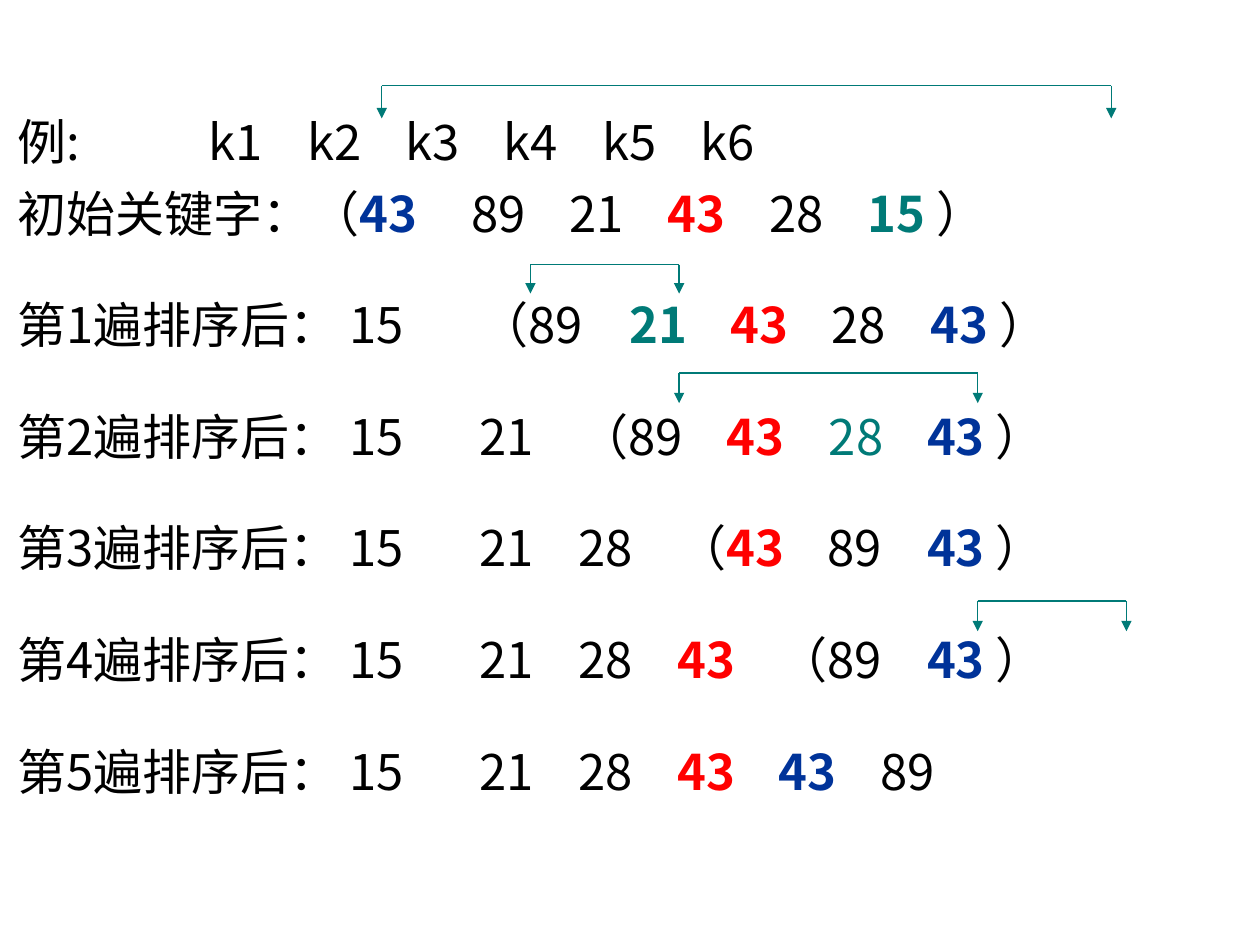
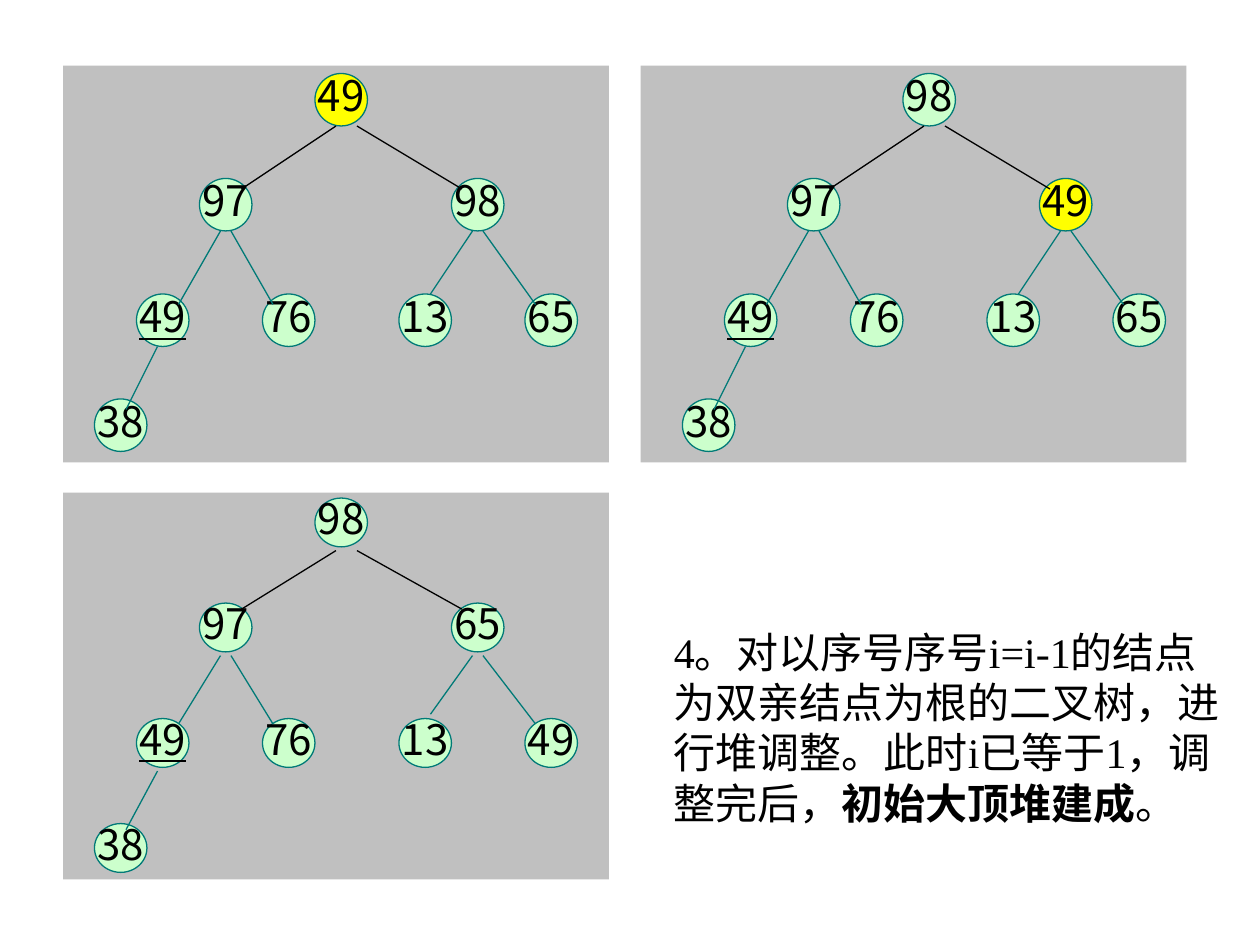
"""Build two slides on selection sort passes and on building a max heap."""
from typing import NamedTuple

from lxml.etree import SubElement
from pptx import Presentation
from pptx.dml.color import RGBColor
from pptx.enum.shapes import MSO_CONNECTOR as LINE, MSO_SHAPE as SHAPE
from pptx.enum.text import MSO_ANCHOR as ANCHOR, PP_ALIGN as ALIGN
from pptx.oxml.ns import qn
from pptx.util import Inches, Pt

BLACK = RGBColor(0x00, 0x00, 0x00)
BLUE = RGBColor(0x00, 0x33, 0x99)
RED = RGBColor(0xFF, 0x00, 0x00)
TEAL = RGBColor(0x00, 0x7A, 0x77)
GREY = RGBColor(0xC0, 0xC0, 0xC0)
MINT = RGBColor(0xCC, 0xFF, 0xCC)
YELLOW = RGBColor(0xFF, 0xFF, 0x00)

SANS = "Noto Sans CJK SC"
SERIF = "Times New Roman"
LINE_WIDTH = Pt(0.75)
LEADING = 1.2
KEY_SIZE = 28
NODE_SIZE = 24
CELL = Inches(1) / 12
NODE_CELLS = 5


class Span(NamedTuple):
    text: str
    color: RGBColor = BLACK
    bold: bool = False
    underline: bool = False


class Row(NamedTuple):
    before: float
    tabs: list[float]
    spans: list[Span]


class Bracket(NamedTuple):
    left: float
    right: float
    top: float
    drop: float


class Node(NamedTuple):
    column: int
    row: int


class Edge(NamedTuple):
    start: tuple[int, int]
    end: tuple[int, int]
    color: RGBColor = TEAL


class Tree(NamedTuple):
    keys: list[str]
    panel_column: int
    panel_top: float
    panel_height: float
    shift_columns: int = 0
    shift_down: float = 0
    squeeze: float = 1
    marked: int | None = None


FIRST_43 = Span("43", BLUE, True)
SECOND_43 = Span("43", RED, True)
TAB = Span("\t")
CLOSE = Span(" ）")
PASS_GAP = 30.2

ROWS = [
    Row(0, [1.52 + 0.78 * i for i in range(6)],
        [Span("例:\tk1\tk2\tk3\tk4\tk5\tk6")]),
    Row(7, [3.6, 4.38, 5.16, 5.97, 6.75],
        [Span("初始关键字：（"), FIRST_43, Span("\t89\t21\t"), SECOND_43,
         Span("\t28\t"), Span("15", TEAL, True), CLOSE]),
    Row(PASS_GAP, [3.67, 4.86, 5.66, 6.46, 7.25],
        [Span("第1遍排序后： 15\t（89\t"), Span("21", TEAL, True), TAB,
         SECOND_43, Span("\t28\t"), FIRST_43, CLOSE]),
    Row(PASS_GAP, [3.67, 4.46, 5.63, 6.44, 7.22],
        [Span("第2遍排序后： 15\t21\t（89\t"), SECOND_43, TAB,
         Span("28", TEAL), TAB, FIRST_43, CLOSE]),
    Row(PASS_GAP, [3.67, 4.45, 5.24, 6.43, 7.22],
        [Span("第3遍排序后： 15\t21\t28\t（"), SECOND_43, Span("\t89\t"),
         FIRST_43, CLOSE]),
    Row(PASS_GAP, [3.67, 4.45, 5.24, 6.04, 7.22],
        [Span("第4遍排序后： 15\t21\t28\t"), SECOND_43, Span("\t（89\t"),
         FIRST_43, CLOSE]),
    Row(PASS_GAP, [3.67, 4.45, 5.24, 6.04, 6.85],
        [Span("第5遍排序后： 15\t21\t28\t"), SECOND_43, TAB, FIRST_43,
         Span("\t89")]),
]

BRACKETS = [
    Bracket(3.03, 8.82, 0.68, 0.26),
    Bracket(4.21, 5.39, 2.1, 0.23),
    Bracket(5.39, 7.76, 2.96, 0.24),
    Bracket(7.76, 8.94, 4.77, 0.24),
]

NODES = [Node(30, 7), Node(19, 17), Node(43, 17), Node(13, 28),
         Node(25, 28), Node(38, 28), Node(50, 28), Node(9, 38)]
UNDERLINED_NODE = 3
EDGES = [
    Edge((32, 12), (23, 18), BLACK), Edge((34, 12), (44, 18), BLACK),
    Edge((21, 22), (17, 29)), Edge((22, 22), (26, 29)),
    Edge((45, 22), (41, 28)), Edge((46, 22), (51, 29)),
    Edge((15, 33), (12, 39)),
]
PANEL_CELLS = 52
TREES = [
    Tree("49 97 98 49 76 13 65 38".split(), 6, 0.52, 3.15, marked=0),
    Tree("98 97 49 49 76 13 65 38".split(), 61, 0.52, 3.15,
         shift_columns=56, marked=2),
    Tree("98 97 65 49 76 13 49 38".split(), 6, 3.91, 3.07,
         shift_down=3.37, squeeze=0.93),
]

STEP_SPANS = [
    Span("4。对以序号序号i=i-1的结点为双亲结点为根的二叉树，"
         "进行堆调整。此时i已等于1，调整完后，"),
    Span("初始大顶堆建成", bold=True),
    Span("。"),
]


def add_spans(para, spans: list[Span], size: float, face: str) -> None:
    """Append each span as one formatted run."""
    for span in spans:
        run = para.add_run()
        run.text = span.text
        font = run.font
        font.size, font.bold, font.underline = Pt(size), span.bold, span.underline
        font.color.rgb = span.color
        font.name = face
        SubElement(run.font._element, qn("a:ea"), typeface=SANS)


def set_tabs(para, stops: list[float]) -> None:
    """Give a paragraph left tab stops, in inches from the text edge."""
    tab_list = SubElement(para._p.get_or_add_pPr(), qn("a:tabLst"))
    for stop in stops:
        SubElement(tab_list, qn("a:tab"), pos=str(Inches(stop)), algn="l")


def add_text_box(page, left: float, top: float, width: float, height: float):
    """Add a wrapping text box and return its text frame."""
    box = page.shapes.add_textbox(*map(Inches, (left, top, width, height)))
    box.text_frame.word_wrap = True
    return box.text_frame


def add_line(shapes, start: tuple[float, float], end: tuple[float, float],
             color: RGBColor, arrow: bool = False) -> None:
    """Draw a thin straight line, with an arrowhead at its end if asked."""
    points = [round(value) for value in (*start, *end)]
    line = shapes.add_connector(LINE.STRAIGHT, *points)
    line.line.color.rgb = color
    line.line.width = LINE_WIDTH
    if arrow:
        SubElement(line.line._get_or_add_ln(), qn("a:tailEnd"), type="triangle")
    SubElement(line._element.spPr, qn("a:effectLst"))


def add_bracket(page, bracket: Bracket) -> None:
    """Draw the two-headed bracket that marks a swap."""
    shapes = page.shapes.add_group_shape().shapes
    left, right, top, drop = map(Inches, bracket)
    add_line(shapes, (left, top), (right, top), TEAL)
    for side in (left, right):
        add_line(shapes, (side, top), (side, top + drop), TEAL, arrow=True)


def add_filled(page, kind: SHAPE, left: float, top: float, width: float,
               height: float, fill: RGBColor):
    """Add a flat filled shape with no outline."""
    shape = page.shapes.add_shape(kind, *map(round, (left, top, width, height)))
    shape.shadow.inherit = False
    shape.fill.solid()
    shape.fill.fore_color.rgb = fill
    shape.line.fill.background()
    return shape


def add_tree(page, tree: Tree) -> None:
    """Draw one heap on its grey panel."""
    add_filled(page, SHAPE.RECTANGLE, tree.panel_column * CELL,
               Inches(tree.panel_top), PANEL_CELLS * CELL,
               Inches(tree.panel_height), GREY)

    def place(column: float, row: float) -> tuple[float, float]:
        """Turn a grid point of this tree into a slide point."""
        return ((column + tree.shift_columns) * CELL,
                row * CELL + Inches(tree.shift_down))

    side = NODE_CELLS * CELL
    for index, (node, key) in enumerate(zip(NODES, tree.keys)):
        fill = YELLOW if index == tree.marked else MINT
        circle = add_filled(page, SHAPE.OVAL, *place(*node), side,
                            side * tree.squeeze, fill)
        circle.line.color.rgb = TEAL
        circle.line.width = LINE_WIDTH
        frame = circle.text_frame
        frame.word_wrap = False
        frame.vertical_anchor = ANCHOR.MIDDLE
        para = frame.paragraphs[0]
        para.alignment = ALIGN.CENTER
        para.line_spacing = 0.8
        span = Span(key, underline=index == UNDERLINED_NODE)
        add_spans(para, [span], NODE_SIZE, SANS)
    for (x, y), (end_x, end_y), color in EDGES:
        end = place(end_x, y + (end_y - y) * tree.squeeze)
        add_line(page.shapes, place(x, y), end, color)


def add_sort_slide(deck, layout) -> None:
    """Show the keys after every selection sort pass."""
    page = deck.slides.add_slide(layout)
    frame = add_text_box(page, 0.04, 0.84, 9.77, 6.06)
    for index, row in enumerate(ROWS):
        para = frame.add_paragraph() if index else frame.paragraphs[0]
        para.line_spacing = Pt(KEY_SIZE * LEADING)
        para.space_before = Pt(row.before)
        set_tabs(para, row.tabs)
        add_spans(para, row.spans, KEY_SIZE, SANS)
    for bracket in BRACKETS:
        add_bracket(page, bracket)


def add_heap_slide(deck, layout) -> None:
    """Show the last adjustment that completes the max heap."""
    page = deck.slides.add_slide(layout)
    for tree in TREES:
        add_tree(page, tree)
    para = add_text_box(page, 5.25, 4.92, 4.58, 1.7).paragraphs[0]
    para.line_spacing = Pt(NODE_SIZE * LEADING)
    add_spans(para, STEP_SPANS, NODE_SIZE, SERIF)


def main() -> None:
    """Build and save the deck."""
    deck = Presentation()
    deck.slide_width, deck.slide_height = Inches(10), Inches(7.5)
    blank = deck.slide_layouts[6]
    add_sort_slide(deck, blank)
    add_heap_slide(deck, blank)
    deck.save("out.pptx")


if __name__ == "__main__":
    main()
